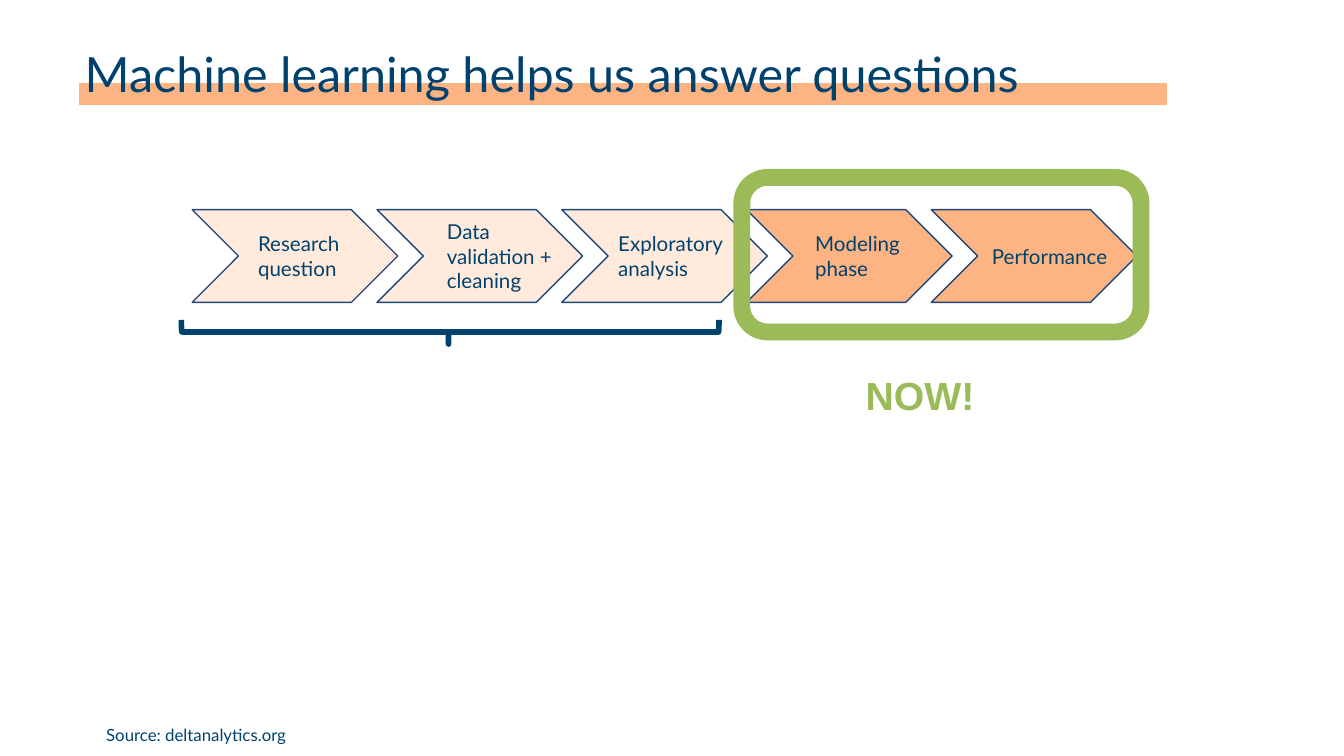
from dataclasses import dataclass

from lxml import etree
from pptx import Presentation
from pptx.dml.color import RGBColor
from pptx.enum.shapes import MSO_CONNECTOR, MSO_SHAPE
from pptx.enum.text import MSO_ANCHOR, PP_ALIGN
from pptx.oxml.ns import qn
from pptx.util import Inches, Pt

STRAIGHT = MSO_CONNECTOR.STRAIGHT
CHEVRON = MSO_SHAPE.CHEVRON
LEFT_BRACE = MSO_SHAPE.LEFT_BRACE
ROUNDED = MSO_SHAPE.ROUNDED_RECTANGLE
TOP, MIDDLE, BOTTOM = MSO_ANCHOR.TOP, MSO_ANCHOR.MIDDLE, MSO_ANCHOR.BOTTOM
LEFT, JUSTIFY = PP_ALIGN.LEFT, PP_ALIGN.JUSTIFY


@dataclass(frozen=True)
class Theme:
    navy: RGBColor = RGBColor(0x00, 0x42, 0x6E)
    outline: RGBColor = RGBColor(0x1F, 0x49, 0x7D)
    orange: RGBColor = RGBColor(0xFE, 0xB3, 0x82)
    peach: RGBColor = RGBColor(0xFF, 0xEA, 0xDC)
    green: RGBColor = RGBColor(0x9B, 0xBB, 0x59)
    font: str = "Lato"
    callout_font: str = "Arial"
    title_size: int = 26
    callout_size: int = 21
    step_size: int = 11
    source_size: int = 9


THEME = Theme()

# Label lines, label offset from the chevron's left edge, chevron fill
STEPS = [
    (["Research", "question"], 0.45, THEME.peach),
    (["Data", "validation +", "cleaning"], 0.48, THEME.peach),
    (["Exploratory", "analysis"], 0.38, THEME.peach),
    (["Modeling", "phase"], 0.47, THEME.orange),
    (["Performance"], 0.41, THEME.orange),
]


def add_text(slide, box, lines, size, color=THEME.navy, font=THEME.font,
             bold=False, align=LEFT, anchor=TOP, inset=0.02):
    text_box = slide.shapes.add_textbox(*map(Inches, box))
    frame = text_box.text_frame
    frame.word_wrap = True
    frame.vertical_anchor = anchor
    frame.margin_left = frame.margin_right = Inches(inset)
    frame.margin_top = frame.margin_bottom = Inches(inset)
    frame.text = "\n".join(lines)
    for paragraph in frame.paragraphs:
        paragraph.alignment = align
        paragraph.font.size = Pt(size)
        paragraph.font.name = font
        paragraph.font.bold = bold
        paragraph.font.color.rgb = color
    return frame


def add_outlined(slide, kind, box, line_color, line_width, adjustments, fill=None):
    shape = slide.shapes.add_shape(kind, *map(Inches, box))
    shape.shadow.inherit = False
    if fill is None:
        shape.fill.background()
    else:
        shape.fill.solid()
        shape.fill.fore_color.rgb = fill
    shape.line.color.rgb = line_color
    shape.line.width = Pt(line_width)
    for index, value in enumerate(adjustments):
        shape.adjustments[index] = value
    return shape


def add_title(slide, left, top, width, height):
    # Highlight stroke behind the lower part of the title
    stroke_top = Inches(top + 0.39)
    stroke = slide.shapes.add_connector(
        STRAIGHT, Inches(left), stroke_top, Inches(left + width), stroke_top)
    stroke.line.color.rgb = THEME.orange
    stroke.line.width = Pt(12)
    etree.SubElement(stroke._element.spPr, qn("a:effectLst"))
    add_text(slide, (left + 0.02, top, width - 0.05, height),
             ["Machine learning helps us answer questions"], THEME.title_size)


def add_process(slide, left, top, width, height):
    chevron_width = 1.53
    step = (width - chevron_width) / (len(STEPS) - 1)
    for index, (lines, label_offset, fill) in enumerate(STEPS):
        step_left = left + index * step
        add_outlined(slide, CHEVRON, (step_left, top, chevron_width, height),
                     THEME.outline, 0.75, [0.5], fill)
        add_text(slide, (step_left + label_offset, top, 1.23, height), lines,
                 THEME.step_size, align=JUSTIFY, anchor=MIDDLE, inset=0.04)


def add_done_bracket(slide, left, top, width, height):
    # A left brace turned to point down, rotated about its centre
    box = (left + (width - height) / 2, top + (height - width) / 2, height, width)
    brace = add_outlined(slide, LEFT_BRACE, box, THEME.navy, 3, [0.018, 0.497])
    brace.rotation = 270


def add_now_highlight(slide, left, top, width, height):
    add_outlined(slide, ROUNDED, (left, top, width, height), THEME.green, 9, [0.167])
    add_text(slide, (left + 0.85, top + height + 0.22, 1.26, 0.38), ["NOW!"],
             THEME.callout_size, THEME.green, THEME.callout_font, bold=True, inset=0.07)


def add_source(slide, left, top, width, height):
    frame = add_text(slide, (left, top, width, height), ["Source: deltanalytics.org"],
                     THEME.source_size, align=JUSTIFY, anchor=BOTTOM)
    paragraph = frame.paragraphs[0]
    paragraph.line_spacing = 1.5
    paragraph._p.get_or_add_pPr().set("marL", str(Inches(0.18)))


def main():
    presentation = Presentation()
    presentation.slide_width = Inches(10)
    presentation.slide_height = Inches(10 * 9 / 16)
    slide = presentation.slides.add_slide(presentation.slide_layouts[6])
    add_title(slide, 0.59, 0.31, 8.09, 0.48)
    add_source(slide, 0.59, 4.98, 8.57, 0.58)
    add_process(slide, 1.43, 1.56, 7.03, 0.69)
    add_done_bracket(slide, 1.35, 2.38, 4, 0.18)
    add_now_highlight(slide, 5.52, 1.32, 2.97, 1.15)
    presentation.save("out.pptx")


if __name__ == "__main__":
    main()
